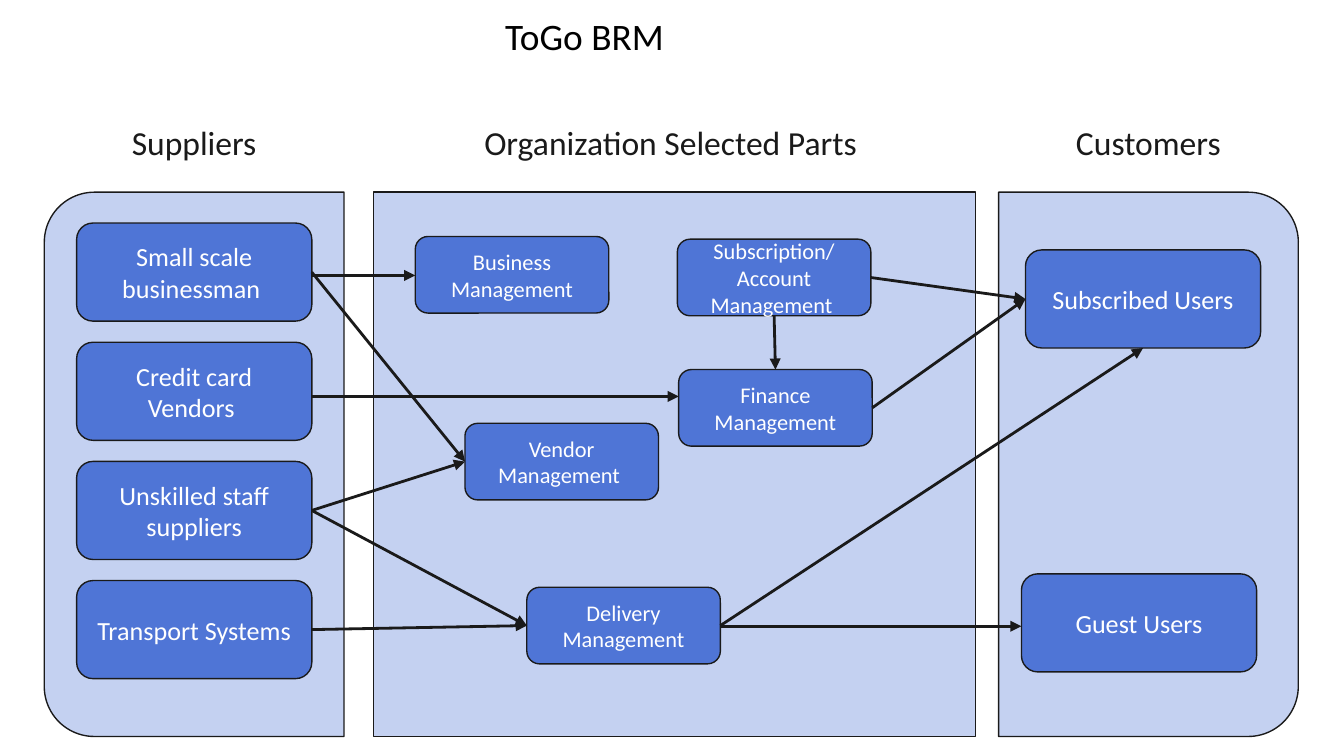
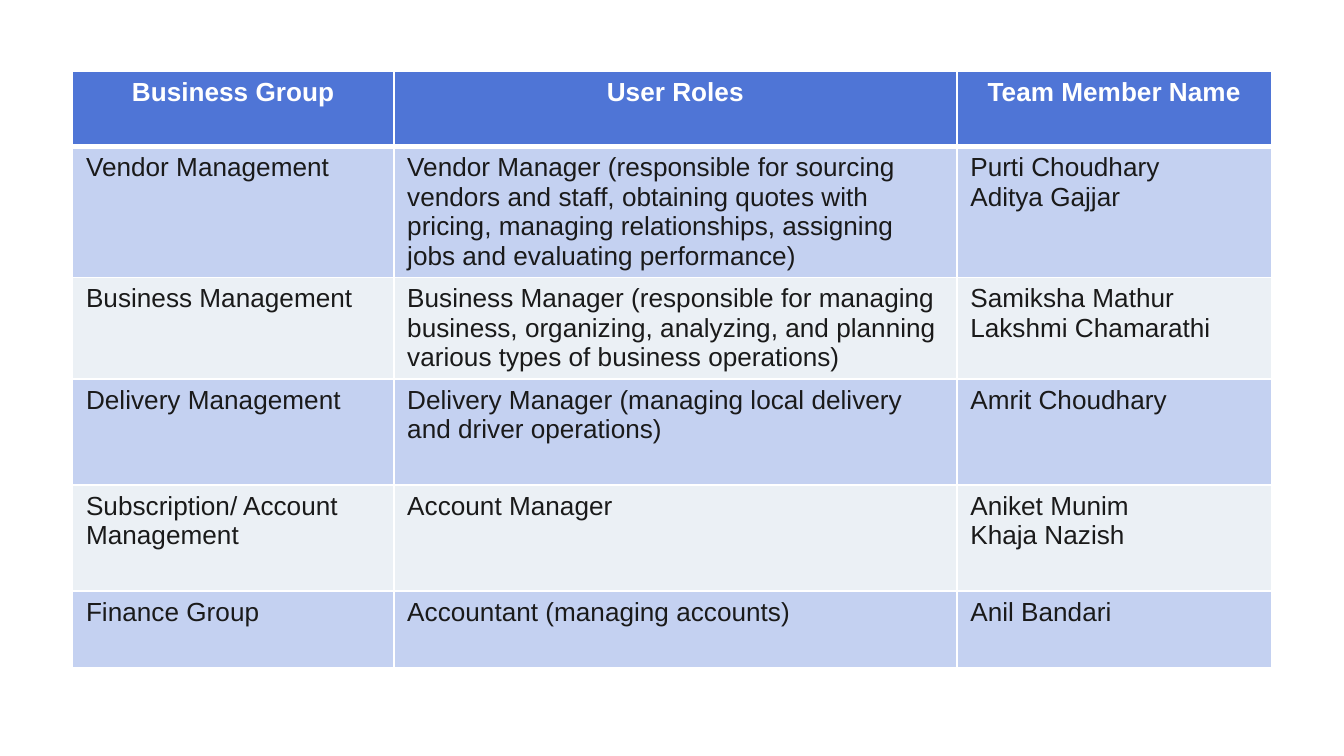
"""Build the ToGo business reference model: a relationship diagram and a roles table."""
import pptx
import pptx.util
import pptx.dml.color
import pptx.enum.shapes
import pptx.enum.text
import pptx.oxml
import pptx.oxml.ns
import lxml.etree

Inches = pptx.util.Inches
Pt = pptx.util.Pt
SHAPES = pptx.enum.shapes.MSO_SHAPE
ANCHOR = pptx.enum.text.MSO_ANCHOR
ALIGN = pptx.enum.text.PP_ALIGN
COLORS = {"ink": "1A1A1A", "black": "000000", "white": "FFFFFF",
          "blue": "4F75D6", "pale": "C4D1F1", "grey": "EBF0F5"}
RGB = {name: pptx.dml.color.RGBColor.from_string(value) for name, value in COLORS.items()}


def write(frame, text, size, color, font="Calibri", align=ALIGN.CENTER, bold=False):
    frame.word_wrap = True
    for index, words in enumerate(text.split("\n")):
        para = frame.paragraphs[0] if index == 0 else frame.add_paragraph()
        para.text = words
        para.alignment = align
        para.font.name = font
        para.font.size = Pt(size)
        para.font.bold = bold
        para.font.color.rgb = RGB[color]


def add_block(page, kind, bounds, fill):
    block = page.shapes.add_shape(kind, *[Inches(value) for value in bounds])
    block.shadow.inherit = False
    block.fill.solid()
    block.fill.fore_color.rgb = RGB[fill]
    block.line.color.rgb = RGB["ink"]
    block.line.width = Pt(0.75)
    return block


deck = pptx.Presentation()
deck.slide_width = Inches(10)
deck.slide_height = Inches(10 * 9 / 16)
blank = deck.slide_layouts[6]

diagram = deck.slides.add_slide(blank)
for left, turn in [(-0.58, 270), (6.52, 90)]:
    panel = add_block(diagram, SHAPES.ROUND_2_SAME_RECTANGLE, (left, 2.34, 4.05, 2.23), "pale")
    panel.rotation = turn
    panel.adjustments[0] = 0.167
    panel.adjustments[1] = 0
add_block(diagram, SHAPES.RECTANGLE, (2.78, 1.43, 4.48, 4.05), "pale")

for heading, left, width in [("Organization Selected Parts", 2.75, 4.48),
                             ("Customers", 7.43, 2.23),
                             ("Suppliers", 0.33, 2.23)]:
    box = diagram.shapes.add_textbox(Inches(left), Inches(0.81), Inches(width), Inches(0.5))
    frame = box.text_frame
    frame.vertical_anchor = ANCHOR.MIDDLE
    frame.margin_left = frame.margin_right = frame.margin_top = frame.margin_bottom = Inches(0.1)
    write(frame, heading, 18, "ink")

title = diagram.shapes.add_textbox(Inches(3.66), Inches(0.05), Inches(3.04), Inches(0.45))
write(title.text_frame, "ToGo BRM", 20, "black", align=ALIGN.LEFT)

PARTNER = (1.75, 0.73, 14)
GROUP = (1.44, 0.57, 12)
suppliers = ["Small scale businessman ", "Credit card Vendors ",
             "Unskilled staff suppliers", "Transport Systems"]
nodes = [(name, text, 0.57, 1.66 + index * 2.66 / 3, PARTNER, 0.1)
         for index, (name, text) in enumerate(zip(["small", "credit", "staff", "transport"], suppliers))]
nodes += [
    ("vendor", "Vendor\nManagement ", 3.46, 3.15, GROUP, 0.1),
    ("subscribed", "Subscribed Users", 7.63, 1.86, PARTNER, 0.1),
    ("guest", "Guest Users", 7.6, 4.27, PARTNER, 0.05),
    ("finance", "Finance Management", 5.05, 2.75, GROUP, 0),
    ("business", "Business\nManagement", 3.09, 1.76, GROUP, 0.1),
    ("account", "Subscription/ Account Management ", 5.04, 1.78, GROUP, 0.1),
    ("delivery", "Delivery\nManagement", 3.92, 4.37, GROUP, 0.1),
]
boxes = {}
for name, text, left, top, (width, height, size), inset in nodes:
    box = add_block(diagram, SHAPES.FLOWCHART_ALTERNATE_PROCESS, (left, top, width, height), "blue")
    frame = box.text_frame
    frame.vertical_anchor = ANCHOR.MIDDLE
    frame.margin_left = frame.margin_right = Inches(inset)
    frame.margin_top = frame.margin_bottom = Inches(0.1)
    write(frame, text, size, "white")
    boxes[name] = box

TOP, LEFT, BOTTOM, RIGHT = range(4)
STRAIGHT = pptx.enum.shapes.MSO_CONNECTOR.STRAIGHT
arrows = []
for source, exit_side, target, entry_side in [
    ("small", RIGHT, "vendor", LEFT),
    ("staff", RIGHT, "vendor", LEFT),
    ("staff", RIGHT, "delivery", LEFT),
    ("transport", RIGHT, "delivery", LEFT),
    ("account", BOTTOM, "finance", TOP),
    ("finance", RIGHT, "subscribed", LEFT),
    ("delivery", RIGHT, "subscribed", BOTTOM),
    ("account", RIGHT, "subscribed", LEFT),
]:
    arrow = diagram.shapes.add_connector(STRAIGHT, 0, 0, 0, 0)
    arrow.begin_connect(boxes[source], exit_side)
    arrow.end_connect(boxes[target], entry_side)
    arrows.append(arrow)
for start, end, level in [(2.32, 5.05, 2.95), (5.36, 7.6, 4.66), (2.32, 3.09, 2.05)]:
    arrows.append(diagram.shapes.add_connector(
        STRAIGHT, Inches(start), Inches(level), Inches(end), Inches(level)))
for arrow in arrows:
    arrow.line.color.rgb = RGB["ink"]
    arrow.line.width = Pt(1.5)
    outline = arrow.line._get_or_add_ln()
    lxml.etree.SubElement(outline, pptx.oxml.ns.qn("a:tailEnd"), type="triangle")
    lxml.etree.SubElement(outline.getparent(), pptx.oxml.ns.qn("a:effectLst"))

roles = deck.slides.add_slide(blank)
rows = [
    ("Business Group", "User Roles", "Team Member Name"),
    ("Vendor Management",
     "Vendor Manager (responsible for sourcing vendors and staff, obtaining quotes with pricing, "
     "managing relationships, assigning jobs and evaluating performance)",
     "Purti Choudhary\nAditya Gajjar"),
    ("Business Management",
     "Business Manager (responsible for managing business, organizing, analyzing, and planning "
     "various types of business operations)",
     "Samiksha Mathur\nLakshmi Chamarathi"),
    ("Delivery Management", "Delivery Manager (managing local delivery and driver operations)",
     "Amrit Choudhary"),
    ("Subscription/ Account Management ", "Account Manager", "Aniket Munim\nKhaja Nazish"),
    ("Finance Group", "Accountant (managing accounts)", "Anil Bandari"),
]
table = roles.shapes.add_table(len(rows), 3, Inches(0.54), Inches(0.53),
                               Inches(8.92), Inches(4.56)).table
for column, width in zip(table.columns, [2.39, 4.19, 2.34]):
    column.width = Inches(width)
for row, height in zip(table.rows, [0.56, 0.79, 0.57, 0.79, 0.79, 0.57]):
    row.height = Inches(height)
for row_index, row in enumerate(rows):
    header = row_index == 0
    fill = "blue" if header else "pale" if row_index % 2 else "grey"
    for column_index, text in enumerate(row):
        cell = table.cell(row_index, column_index)
        write(cell.text_frame, text, 14, "white" if header else "ink", "Arial",
              ALIGN.CENTER if header else ALIGN.LEFT, header)
        borders = cell._tc.get_or_add_tcPr()
        for side in ["L", "R", "T", "B"]:
            heavy = (header and side == "B") or (row_index == 1 and side == "T")
            borders.append(pptx.oxml.parse_xml(
                f'<a:ln{side} {pptx.oxml.ns.nsdecls("a")} w="{Pt(3 if heavy else 1)}">'
                f'<a:solidFill><a:srgbClr val="{COLORS["white"]}"/></a:solidFill></a:ln{side}>'))
        cell.fill.solid()
        cell.fill.fore_color.rgb = RGB[fill]

deck.save("out.pptx")
